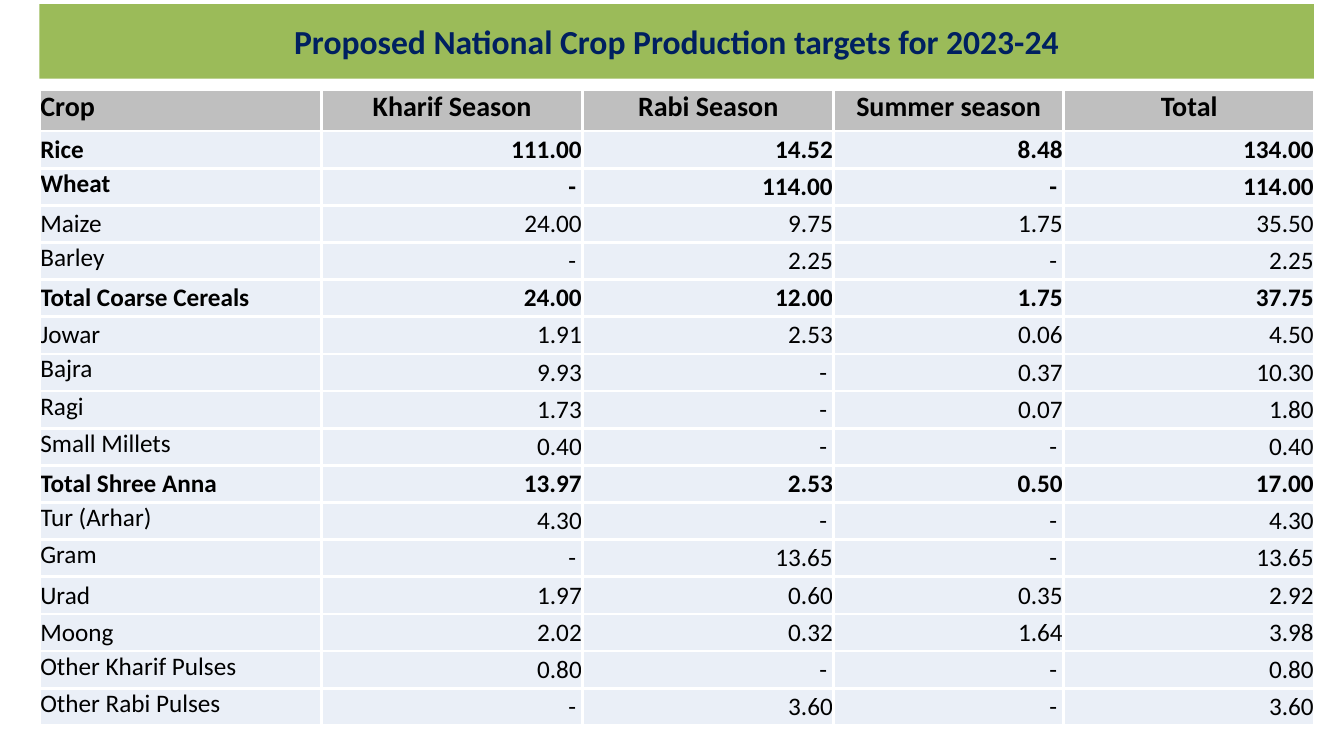
from lxml import etree
from pptx import Presentation
from pptx.dml.color import RGBColor
from pptx.enum.text import MSO_ANCHOR, MSO_AUTO_SIZE, PP_ALIGN
from pptx.oxml.ns import qn
from pptx.util import Emu, Pt

LEFT, CENTER, RIGHT = PP_ALIGN.LEFT, PP_ALIGN.CENTER, PP_ALIGN.RIGHT
TOP, MIDDLE = MSO_ANCHOR.TOP, MSO_ANCHOR.MIDDLE
NO_FIT = MSO_AUTO_SIZE.NONE

EMU_PER_PX = 9144
FONT = "Calibri"
COLORS = {
    "banner": "9BBB59",
    "title": "002060",
    "header": "BFBFBF",
    "body": "EAEFF7",
    "border": "FFFFFF",
    "text": "000000",
}
DASH = "- "
HEADINGS = ["Crop", "Kharif Season", "Rabi Season", "Summer season", "Total"]
COLUMN_WIDTHS = [280, 259, 249, 228, 249]
HEADER_HEIGHT = 41
CROPS = [
    ["Rice", "111.00", "14.52", "8.48", "134.00"],
    ["Wheat", DASH, "114.00", DASH, "114.00"],
    ["Maize", "24.00", "9.75", "1.75", "35.50"],
    ["Barley", DASH, "2.25", DASH, "2.25"],
    ["Total Coarse Cereals", "24.00", "12.00", "1.75", "37.75"],
    ["Jowar", "1.91", "2.53", "0.06", "4.50"],
    ["Bajra", "9.93", DASH, "0.37", "10.30"],
    ["Ragi", "1.73", DASH, "0.07", "1.80"],
    ["Small Millets", "0.40", DASH, DASH, "0.40"],
    ["Total Shree Anna", "13.97", "2.53", "0.50", "17.00"],
    ["Tur (Arhar)", "4.30", DASH, DASH, "4.30"],
    ["Gram", DASH, "13.65", DASH, "13.65"],
    ["Urad", "1.97", "0.60", "0.35", "2.92"],
    ["Moong", "2.02", "0.32", "1.64", "3.98"],
    ["Other Kharif Pulses", "0.80", DASH, DASH, "0.80"],
    ["Other Rabi Pulses", DASH, "3.60", DASH, "3.60"],
]
BOLD_CROPS = {"Rice", "Wheat", "Total Coarse Cereals", "Total Shree Anna"}


def px(length):
    return Emu(round(length * EMU_PER_PX))


def apply(target, values):
    for name, value in values.items():
        setattr(target, name, value)


class SlideBuilder:
    def __init__(self, page):
        self.page = page

    def fill(self, target, color):
        target.fill.solid()
        target.fill.fore_color.rgb = RGBColor.from_string(COLORS[color])

    def add_text(self, frame, text, align, size, color, bold):
        para = frame.paragraphs[0]
        para.alignment = align
        span = para.add_run()
        span.text = text
        apply(span.font, {"name": FONT, "size": Pt(size), "bold": bold})
        span.font.color.rgb = RGBColor.from_string(COLORS[color])

    def title(self, text, left, top, width, height):
        box = self.page.shapes.title
        apply(box, {"left": px(left), "top": px(top),
                    "width": px(width), "height": px(height)})
        self.fill(box, "banner")
        apply(box.text_frame, {"word_wrap": True, "auto_size": NO_FIT,
                               "vertical_anchor": MIDDLE})
        self.add_text(box.text_frame, text, CENTER, 24, "title", True)

    def borders(self, cell):
        properties = cell._tc.get_or_add_tcPr()
        for index, side in enumerate(("lnL", "lnR", "lnT", "lnB")):
            line = etree.Element(qn(f"a:{side}"), w=str(Pt(2.25)))
            solid = etree.SubElement(line, qn("a:solidFill"))
            etree.SubElement(solid, qn("a:srgbClr"), val=COLORS["border"])
            properties.insert(index, line)

    def cell(self, cell, text, fill, anchor, align, size, bold):
        apply(cell, {"margin_left": px(1), "margin_right": px(1),
                     "margin_top": 0, "margin_bottom": 0,
                     "vertical_anchor": anchor})
        self.fill(cell, fill)
        self.borders(cell)
        self.add_text(cell.text_frame, text, align, size, "text", bold)

    def table(self, left, top, height):
        frame = self.page.shapes.add_table(
            len(CROPS) + 1, len(HEADINGS), px(left), px(top),
            px(sum(COLUMN_WIDTHS)), px(height))
        table = frame.table
        apply(table, {"first_row": False, "horz_banding": False})
        for column, width in zip(table.columns, COLUMN_WIDTHS):
            column.width = px(width)
        crop_height = (height - HEADER_HEIGHT) / len(CROPS)
        for index, row in enumerate(table.rows):
            row.height = px(crop_height if index else HEADER_HEIGHT)
        for column, heading in enumerate(HEADINGS):
            self.cell(table.cell(0, column), heading, "header", TOP,
                      CENTER if column else LEFT, 20, True)
        for index, crop in enumerate(CROPS, 1):
            label_anchor = TOP if DASH in crop else MIDDLE
            for column, text in enumerate(crop):
                self.cell(table.cell(index, column), text, "body",
                          MIDDLE if column else label_anchor,
                          RIGHT if column else LEFT, 18,
                          crop[0] in BOLD_CROPS)


def main():
    deck = Presentation()
    apply(deck, {"slide_width": px(1333), "slide_height": px(750)})
    builder = SlideBuilder(deck.slides.add_slide(deck.slide_layouts[5]))
    builder.title("Proposed National Crop Production targets for 2023-24",
                  39, 4, 1264, 74)
    builder.table(39, 89, 631)
    deck.save("out.pptx")


if __name__ == "__main__":
    main()
